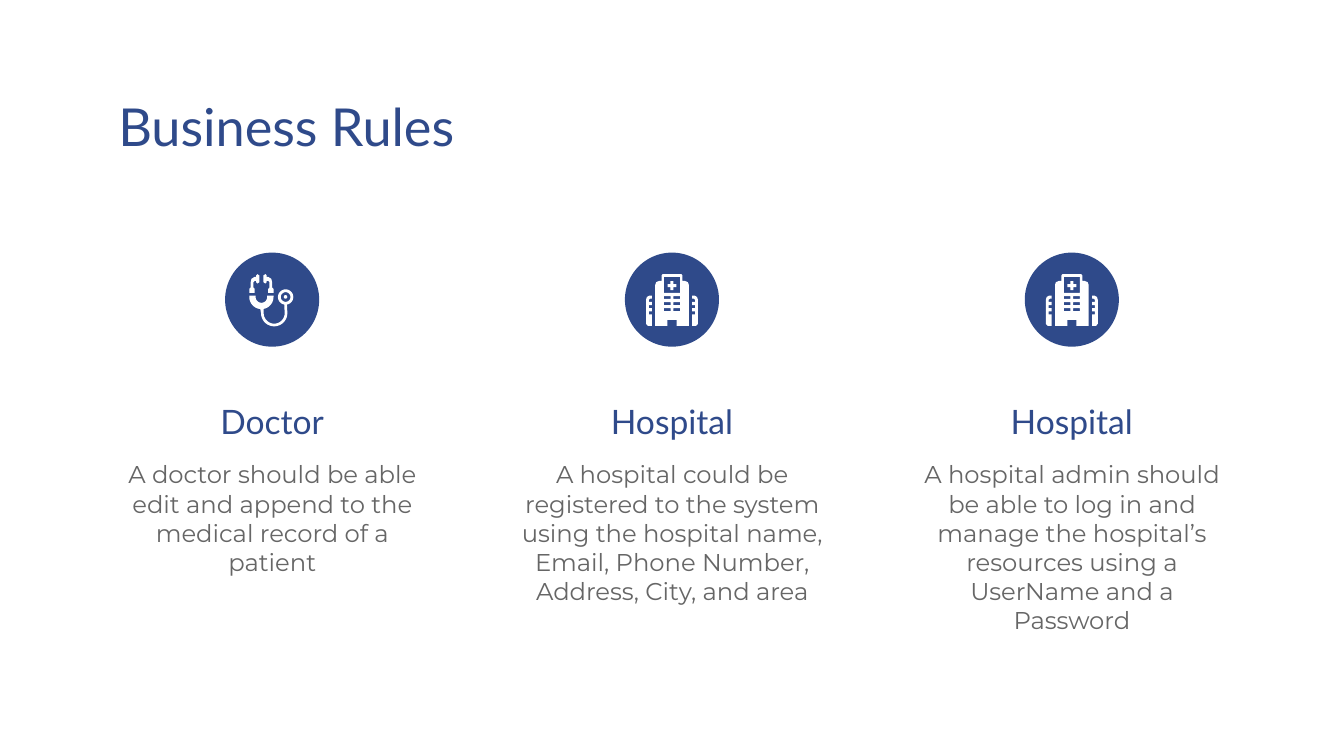
import math
from dataclasses import dataclass

from pptx import Presentation
from pptx.dml.color import RGBColor
from pptx.enum.shapes import MSO_SHAPE
from pptx.enum.text import MSO_ANCHOR, MSO_AUTO_SIZE, PP_ALIGN
from pptx.util import Inches, Pt

OVAL = MSO_SHAPE.OVAL
TOP = MSO_ANCHOR.TOP
NO_AUTOFIT = MSO_AUTO_SIZE.NONE
LEFT, CENTER = PP_ALIGN.LEFT, PP_ALIGN.CENTER

COLORS = {"navy": "2F4A8A", "gray": "666666", "white": "FFFFFF"}
HEADING_FONT, BODY_FONT = "Lato", "Montserrat"

# Page and column grid, in inches
PAGE_WIDTH = 10
PAGE_HEIGHT = PAGE_WIDTH * 9 / 16
MARGIN, COLUMN_WIDTH = 0.78, 2.49
CONTENT_WIDTH = PAGE_WIDTH - 2 * MARGIN
COLUMN_PITCH = (CONTENT_WIDTH - COLUMN_WIDTH) / 2
BADGE_SIZE, BADGE_CENTER_Y = 0.7, 2.23

Point = tuple[float, float]
Contour = list[Point]
Icon = list[list[Contour]]


@dataclass
class Rule:
    heading: str
    text: str
    icon: Icon


# Icon geometry: hundredths of an inch from the badge centre, y downwards
def arc(x: float, y: float, radius: float, start: int, end: int) -> Contour:
    steps = max(abs(end - start) // 10, 1)
    angles = [math.radians(start + (end - start) * i / steps) for i in range(steps + 1)]
    return [(x + radius * math.cos(a), y + radius * math.sin(a)) for a in angles]


def box(left: float, top: float, right: float, bottom: float) -> Contour:
    return [(left, top), (right, top), (right, bottom), (left, bottom)]


def mirror(contour: Contour, axis: float = 0) -> Contour:
    return [(2 * axis - x, y) for x, y in contour]


def stethoscope() -> Icon:
    axis, chest_x, chest_y = -8, 10, -2
    prong = [(-5, -19), (-6.5, -18), (-6.5, -13), (-5, -12), (-4, -13), (-4, -14),
             (-3, -14), (-2, -13), (-2, -9), (-3, -8), (-3, -5), (1, -5), (1, -8),
             (0, -9), (0, -13), (-0.6, -15.5), (-3, -17), (-4, -17), (-4, -18)]
    tube = (arc(chest_x, chest_y, 5.7, 100, 440)
            + arc(1.5, 10, 9.8, 0, 180)
            + arc(axis, -2, 9, 95, 180) + [(-17, -3), (-12.3, -3)]
            + arc(axis, -2, 4.3, 180, 0) + [(-3.7, -3), (1, -3)]
            + arc(axis, -2, 9, 0, 80)
            + arc(1.5, 10, 7.8, 180, 0))
    ring_hole = arc(chest_x, chest_y, 3.6, 0, 360)
    dot = arc(chest_x, chest_y, 1.3, 0, 360)
    return [[prong], [mirror(prong, axis)], [tube, ring_hole], [dot]]


def hospital() -> Icon:
    half = [(7, -19), (7.8, -18), (7.8, -14), (9.5, -14), (11.8, -13), (12.5, -11),
            (12.5, 19.5), (3.4, 19.5), (3.4, 15)]
    building = half + mirror(half)[::-1]
    sign = box(-6, -17, 6, -5)
    windows = [box(x, y, x + 5, y + 2.2)
               for y in (-2.7, 1.8, 6.3) for x in (-6, 1)]
    wing = [(-15, -3), (-17, -3), (-18.7, -2), (-19.3, 0), (-19.3, 18), (-18, 19.4),
            (-15, 19.4), (-15, 11), (-17.2, 11), (-17.2, 8.7), (-15, 8.7), (-15, 6.3),
            (-17.2, 6.3), (-17.2, 4), (-15, 4), (-15, 1.7), (-17.2, 1.7), (-17.2, 0),
            (-16.2, -0.7), (-15, -0.7)]
    arm, reach, y = 1.1, 3.3, -10.5
    cross_half = [(arm, y - reach), (arm, y - arm), (reach, y - arm),
                  (reach, y + arm), (arm, y + arm), (arm, y + reach)]
    cross = cross_half + mirror(cross_half)[::-1]
    return [[building, sign, *windows], [cross], [wing], [mirror(wing)]]


# Drawing functions
def paint(shape, color: str) -> None:
    shape.shadow.inherit = False
    shape.fill.solid()
    shape.fill.fore_color.rgb = RGBColor.from_string(COLORS[color])
    shape.line.fill.background()


def draw_badge(slide, center_x: float, icon: Icon) -> None:
    corner = BADGE_SIZE / 2
    circle = slide.shapes.add_shape(
        OVAL, Inches(center_x - corner), Inches(BADGE_CENTER_Y - corner),
        Inches(BADGE_SIZE), Inches(BADGE_SIZE))
    paint(circle, "navy")
    for contours in icon:
        outlines = [[(Inches(center_x + x / 100), Inches(BADGE_CENTER_Y + y / 100))
                     for x, y in contour] for contour in contours]
        builder = slide.shapes.build_freeform(*outlines[0][0])
        builder.add_line_segments(outlines[0][1:])
        for outline in outlines[1:]:
            builder.move_to(*outline[0])
            builder.add_line_segments(outline[1:])
        paint(builder.convert_to_shape(), "white")


def write_text(shape, text: str, size: int, font_name: str, color: str,
               alignment=CENTER, space_after: int = 0) -> None:
    frame = shape.text_frame
    frame.word_wrap = True
    frame.auto_size = NO_AUTOFIT
    frame.vertical_anchor = TOP
    frame.margin_left = frame.margin_right = Inches(0.1)
    frame.margin_top = frame.margin_bottom = Inches(0.1)
    frame.text = text
    paragraph = frame.paragraphs[0]
    paragraph.alignment = alignment
    paragraph.space_after = Pt(space_after)
    paragraph.font.size = Pt(size)
    paragraph.font.name = font_name
    paragraph.font.color.rgb = RGBColor.from_string(COLORS[color])


def draw_rule(slide, left: float, rule: Rule) -> None:
    draw_badge(slide, left + COLUMN_WIDTH / 2, rule.icon)
    heading = slide.shapes.add_textbox(
        Inches(left), Inches(2.88), Inches(COLUMN_WIDTH), Inches(0.51))
    write_text(heading, rule.heading, 18, HEADING_FONT, "navy")
    body = slide.shapes.add_textbox(
        Inches(left), Inches(3.32), Inches(COLUMN_WIDTH), Inches(0.84))
    write_text(body, rule.text, 13, BODY_FONT, "gray", space_after=12)


RULES = [
    Rule("Doctor",
         "A doctor should be able edit and append to the medical record of a patient",
         stethoscope()),
    Rule("Hospital",
         "A hospital could be registered to the system using the hospital name, "
         "Email, Phone Number, Address, City, and area",
         hospital()),
    Rule("Hospital",
         "A hospital admin should be able to log in and manage the hospital’s "
         "resources using a UserName and a Password",
         hospital()),
]


def main() -> None:
    presentation = Presentation()
    presentation.slide_width = Inches(PAGE_WIDTH)
    presentation.slide_height = Inches(PAGE_HEIGHT)
    slide = presentation.slides.add_slide(presentation.slide_layouts[5])

    # Title
    title = slide.shapes.title
    title.left, title.top = Inches(MARGIN), Inches(0.6)
    title.width, title.height = Inches(CONTENT_WIDTH), Inches(0.51)
    write_text(title, "Business Rules", 28, HEADING_FONT, "navy", LEFT)

    # One column per rule
    for index, rule in enumerate(RULES):
        draw_rule(slide, MARGIN + index * COLUMN_PITCH, rule)

    presentation.save("out.pptx")


if __name__ == "__main__":
    main()
